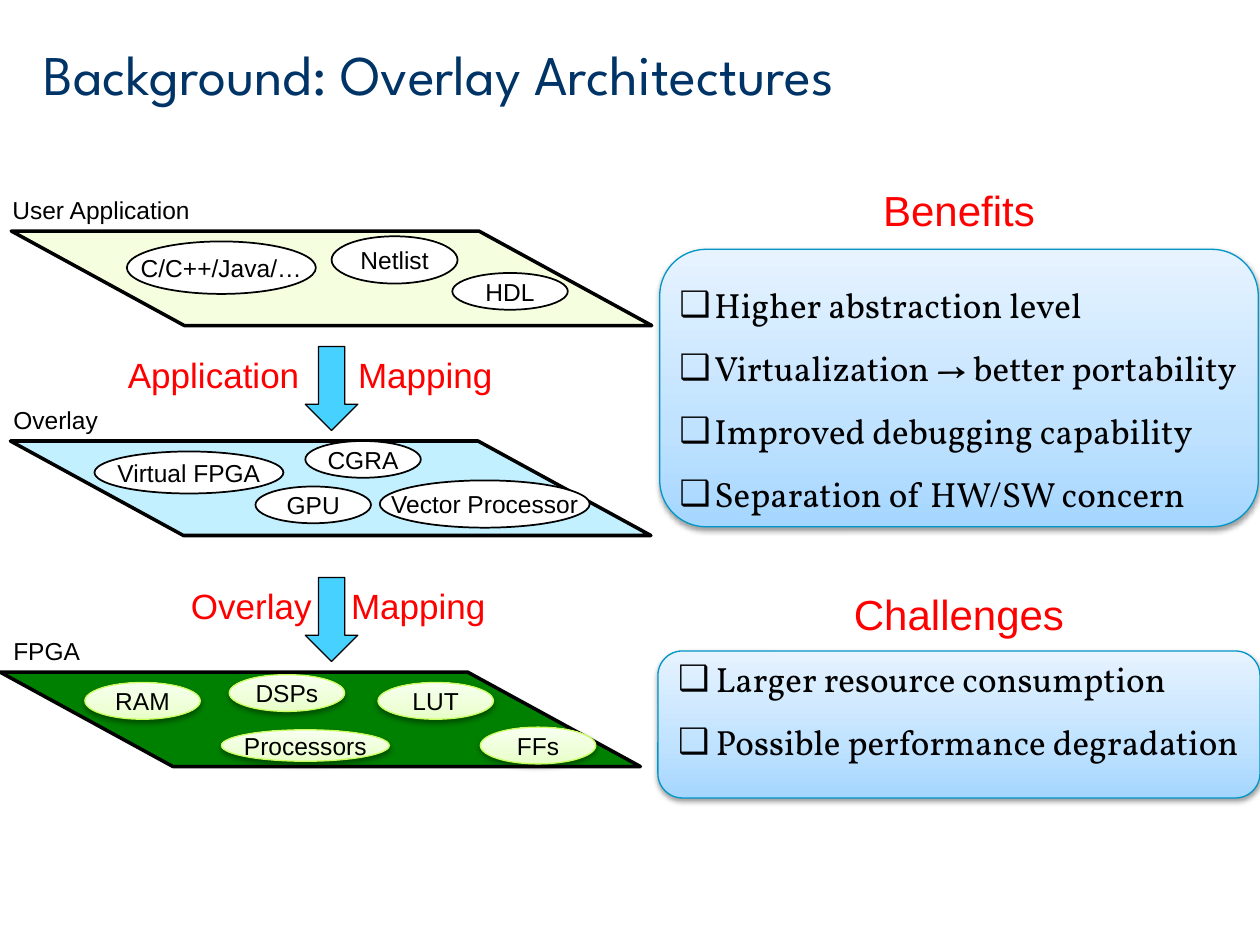
import pptx
import pptx.dml.color
import pptx.enum.shapes
import pptx.enum.text
import pptx.oxml
import pptx.oxml.ns
import pptx.util
from lxml import etree

Pt = pptx.util.Pt
RGB = pptx.dml.color.RGBColor
SHAPE = pptx.enum.shapes.MSO_SHAPE
ALIGN = pptx.enum.text.PP_ALIGN
ANCHOR = pptx.enum.text.MSO_ANCHOR
qn = pptx.oxml.ns.qn

BLACK = RGB(0x00, 0x00, 0x00)
WHITE = RGB(0xFF, 0xFF, 0xFF)
RED = RGB(0xFF, 0x00, 0x00)
NAVY = RGB(0x00, 0x33, 0x66)
ARROW_BLUE = RGB(0x47, 0xD1, 0xFF)
APPLICATION_CREAM = RGB(0xF5, 0xFF, 0xE0)
OVERLAY_BLUE = RGB(0xC2, 0xF0, 0xFF)
FPGA_GREEN = RGB(0x00, 0x80, 0x00)
LIME = RGB(0xC9, 0xFD, 0x60)
CARD_LINE = RGB(0x00, 0x96, 0xC8)
LIME_STOPS = [RGB(0xE7, 0xFF, 0xC6), RGB(0xEE, 0xFF, 0xD7), RGB(0xF8, 0xFF, 0xF0)]
CARD_STOPS = [RGB(0xA5, 0xD6, 0xFF), RGB(0xBF, 0xE2, 0xFF), RGB(0xE7, 0xF3, 0xFF)]

# Each layer: caption, caption place, plane place, plane fill, glossy items, items
LAYERS = [
    ("User Application", (0, 108), (6.5, 132), APPLICATION_CREAM, False, [
        ("C/C++/Java/…", 72.5, 138, 108, 30),
        ("Netlist", 189.5, 135, 72, 27),
        ("HDL", 258.5, 156, 66, 21)]),
    ("Overlay", (0.5, 228), (6, 252), OVERLAY_BLUE, False, [
        ("Virtual FPGA", 54, 258, 108, 24),
        ("GPU", 146, 278, 66, 21),
        ("CGRA", 174.5, 252, 66, 21),
        ("Vector Processor", 217, 274.5, 120, 27)]),
    ("FPGA", (0.5, 360), (0, 384), FPGA_GREEN, True, [
        ("RAM", 48.5, 390, 66, 21),
        ("FFs", 274.5, 415.5, 66, 21),
        ("DSPs", 131, 385.5, 66, 21),
        ("LUT", 216, 390, 66, 21),
        ("Processors", 126.5, 417, 96, 18)]),
]

# Each mapping step: top, then the words left and right of the arrow
MAPPINGS = [
    (198, ("Application", 66), ("Mapping", 197.5)),
    (330, ("Overlay", 102), ("Mapping", 193.5)),
]


def set_font(paragraph, name, size, color):
    paragraph.font.name = name
    paragraph.font.size = Pt(size)
    paragraph.font.color.rgb = color


def set_insets(frame, left=0, bottom=0):
    frame.margin_left, frame.margin_bottom = Pt(left), Pt(bottom)
    frame.margin_top = frame.margin_right = 0


def add_label(slide, text, left, top, width, height, size=14, color=BLACK,
              font="Arial", align=ALIGN.LEFT):
    frame = slide.shapes.add_textbox(Pt(left), Pt(top), Pt(width), Pt(height)).text_frame
    frame.word_wrap = True
    frame.vertical_anchor = ANCHOR.MIDDLE
    paragraph = frame.paragraphs[0]
    paragraph.text = text
    paragraph.alignment = align
    set_font(paragraph, font, size, color)


def add_outlined(slide, kind, left, top, width, height, fill, line, weight):
    """Add a preset shape; a list of three colours makes a glossy one."""
    shape = slide.shapes.add_shape(kind, Pt(left), Pt(top), Pt(width), Pt(height))
    shape.shadow.inherit = False
    shape.line.color.rgb = line
    shape.line.width = Pt(weight)
    if isinstance(fill, list):
        add_gloss(shape, fill)
    else:
        shape.fill.solid()
        shape.fill.fore_color.rgb = fill
    return shape


def add_gloss(shape, colors):
    """Fill from bottom to top with three stops, and drop a soft shadow."""
    shape.fill.gradient()
    shape.fill.gradient_angle = 90
    properties = shape.element.spPr
    stops = properties.find(".//" + qn("a:gsLst"))
    for stop in list(stops):
        stops.remove(stop)
    for position, color in zip((0, 35000, 100000), colors):
        stop = etree.SubElement(stops, qn("a:gs"), pos=str(position))
        etree.SubElement(stop, qn("a:srgbClr"), val=str(color))
    shadow = etree.SubElement(
        properties.find(qn("a:effectLst")), qn("a:outerShdw"),
        blurRad=str(Pt(3.1)), dist=str(Pt(1.6)), dir="5400000", rotWithShape="0")
    black = etree.SubElement(shadow, qn("a:srgbClr"), val=str(BLACK))
    etree.SubElement(black, qn("a:alpha"), val="38000")


def add_item(slide, text, left, top, width, height, glossy):
    fill, line, weight = (LIME_STOPS, LIME, 0.75) if glossy else (WHITE, BLACK, 1)
    ellipse = add_outlined(slide, SHAPE.OVAL, left, top, width, height, fill, line, weight)
    frame = ellipse.text_frame
    frame.word_wrap = False
    frame.vertical_anchor = ANCHOR.MIDDLE
    set_insets(frame)
    paragraph = frame.paragraphs[0]
    paragraph.text = text
    paragraph.alignment = ALIGN.CENTER
    set_font(paragraph, "Arial", 14, BLACK)


def add_layer(slide, caption, caption_at, plane_at, fill, glossy, items):
    add_label(slide, caption, *caption_at, 120, 24)
    plane = add_outlined(slide, SHAPE.PARALLELOGRAM, *plane_at, 366, 54, fill, BLACK, 2)
    plane.adjustments[0] = 1.83
    plane.element.spPr.find(qn("a:xfrm")).set("flipH", "1")
    for item in items:
        add_item(slide, *item, glossy)


def add_mapping(slide, top, *words):
    add_outlined(slide, SHAPE.DOWN_ARROW, 174.5, top, 30, 48, ARROW_BLUE, BLACK, 0.75)
    for text, left in words:
        add_label(slide, text, left, top, 120, 31.5, 20, RED)


def add_card(slide, heading, heading_top, box, points, indent, left_inset, bottom_inset=0):
    add_label(slide, heading, 468, heading_top, 160, 36, 24, RED, align=ALIGN.CENTER)
    card = add_outlined(slide, SHAPE.ROUNDED_RECTANGLE, *box, CARD_STOPS, CARD_LINE, 0.75)
    frame = card.text_frame
    frame.word_wrap = True
    frame.vertical_anchor = ANCHOR.MIDDLE
    set_insets(frame, left_inset, bottom_inset)
    for number, point in enumerate(points):
        paragraph = frame.add_paragraph() if number else frame.paragraphs[0]
        paragraph.text = point
        paragraph.alignment = ALIGN.LEFT
        paragraph.line_spacing = 1.5
        set_font(paragraph, "Vollkorn", 20, BLACK)
        properties = paragraph._p.get_or_add_pPr()
        properties.set("marL", str(Pt(indent)))
        properties.set("indent", str(-Pt(indent)))
        etree.SubElement(properties, qn("a:buFont"), typeface="Arial")
        etree.SubElement(properties, qn("a:buChar"), char="❑")
        # The schema wants bullets before the default run properties
        properties.append(properties.find(qn("a:defRPr")))


def main():
    deck = pptx.Presentation()
    deck.slide_width, deck.slide_height = Pt(720), Pt(540)
    slide = deck.slides.add_slide(deck.slide_layouts[6])

    # Title
    add_label(slide, "Background: Overlay Architectures", 18, 18, 684, 48, 32, NAVY,
              "League Spartan")

    # Layer stack with the mapping steps between
    for layer in LAYERS:
        add_layer(slide, *layer)
    for mapping in MAPPINGS:
        add_mapping(slide, *mapping)

    # Benefits and challenges
    add_card(slide, "Benefits", 102, (377, 142.5, 342, 158.5),
             ["Higher abstraction level", "Virtualization → better portability",
              "Improved debugging capability", "Separation of HW/SW concern"], 20, 3.5)
    add_card(slide, "Challenges", 332.5, (376, 372, 344, 84),
             ["Larger resource consumption", "Possible performance degradation"],
             21.5, 7.5, 28.5)

    deck.save("out.pptx")


if __name__ == "__main__":
    main()
